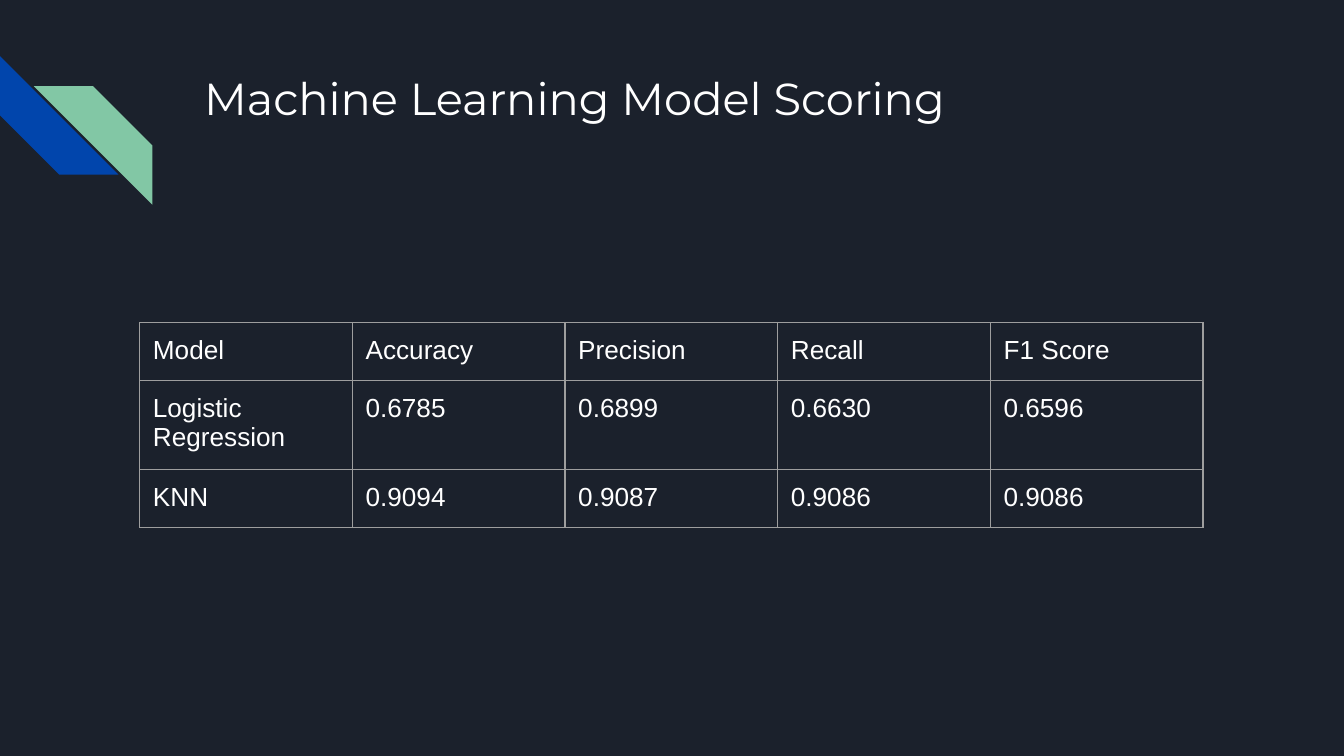
from dataclasses import astuple, dataclass

from lxml import etree
from pptx import Presentation
from pptx.dml.color import RGBColor
from pptx.enum.shapes import MSO_SHAPE
from pptx.oxml.ns import qn
from pptx.util import Cm, Pt

DIAGONAL_STRIPE = MSO_SHAPE.DIAGONAL_STRIPE

COLORS = {
    "background": "1B212C",
    "blue": "0145AC",
    "green": "82C7A5",
    "text": "FFFFFF",
    "border": "9E9E9E",
}
INSET = Cm(0.25)
STRIPE_SIZE = Cm(2.24)
COLUMN_WIDTH = Cm(4.02)
ROW_HEIGHT = Cm(1.07)
BORDER_WIDTH = Pt(0.75)
TITLE_FORMAT = {"name": "Montserrat", "size": Pt(24)}
CELL_FORMAT = {"name": "Arial", "size": Pt(14)}


@dataclass
class Stripe:
    left: float
    top: float
    rotation: int
    color: str


@dataclass
class Score:
    model: str
    accuracy: str
    precision: str
    recall: str
    f1: str


STRIPES = [
    Stripe(0, 1.06, 270, "blue"),
    Stripe(0.64, 1.63, 90, "green"),
]
SCORES = [
    Score("Model", "Accuracy", "Precision", "Recall", "F1 Score"),
    Score("Logistic Regression", "0.6785", "0.6899", "0.6630", "0.6596"),
    Score("KNN", "0.9094", "0.9087", "0.9086", "0.9086"),
]


def rgb(name: str) -> RGBColor:
    return RGBColor.from_string(COLORS[name])


def write_text(holder, text: str, font_format: dict) -> None:
    for side in ("left", "right", "top", "bottom"):
        setattr(holder, f"margin_{side}", INSET)
    frame = getattr(holder, "text_frame", holder)
    run = frame.paragraphs[0].add_run()
    run.text = text
    for attribute, value in font_format.items():
        setattr(run.font, attribute, value)
    run.font.color.rgb = rgb("text")


def draw_stripe(slide, stripe: Stripe) -> None:
    band = slide.shapes.add_shape(
        DIAGONAL_STRIPE, Cm(stripe.left), Cm(stripe.top), STRIPE_SIZE, STRIPE_SIZE
    )
    band.rotation = stripe.rotation
    band.shadow.inherit = False
    band.fill.solid()
    band.fill.fore_color.rgb = rgb(stripe.color)
    band.line.fill.background()


def draw_title(slide, text: str) -> None:
    title = slide.shapes.add_textbox(Cm(3.61), Cm(1.09), Cm(19.56), Cm(2.54))
    title.text_frame.word_wrap = True
    write_text(title.text_frame, text, TITLE_FORMAT)


def add_borders(cell) -> None:
    properties = cell._tc.get_or_add_tcPr()
    for position, side in enumerate(("lnL", "lnR", "lnT", "lnB")):
        border = etree.Element(qn(f"a:{side}"), w=str(int(BORDER_WIDTH)))
        fill = etree.SubElement(border, qn("a:solidFill"))
        etree.SubElement(fill, qn("a:srgbClr"), val=COLORS["border"])
        properties.insert(position, border)


def draw_scores(slide, scores: list[Score]) -> None:
    rows = [astuple(score) for score in scores]
    column_count = len(rows[0])
    table = slide.shapes.add_table(
        len(rows), column_count, Cm(2.64), Cm(6.1),
        COLUMN_WIDTH * column_count, ROW_HEIGHT * len(rows),
    ).table
    table.first_row = False
    table.horz_banding = False
    for row_index, row in enumerate(rows):
        for column_index, text in enumerate(row):
            cell = table.cell(row_index, column_index)
            cell.fill.background()
            write_text(cell, text, CELL_FORMAT)
            add_borders(cell)


def main() -> None:
    presentation = Presentation()
    presentation.slide_width = Cm(25.4)
    presentation.slide_height = Cm(14.29)
    slide = presentation.slides.add_slide(presentation.slide_layouts[6])
    slide.background.fill.solid()
    slide.background.fill.fore_color.rgb = rgb("background")
    for stripe in STRIPES:
        draw_stripe(slide, stripe)
    draw_title(slide, "Machine Learning Model Scoring")
    draw_scores(slide, SCORES)
    presentation.save("out.pptx")


if __name__ == "__main__":
    main()
